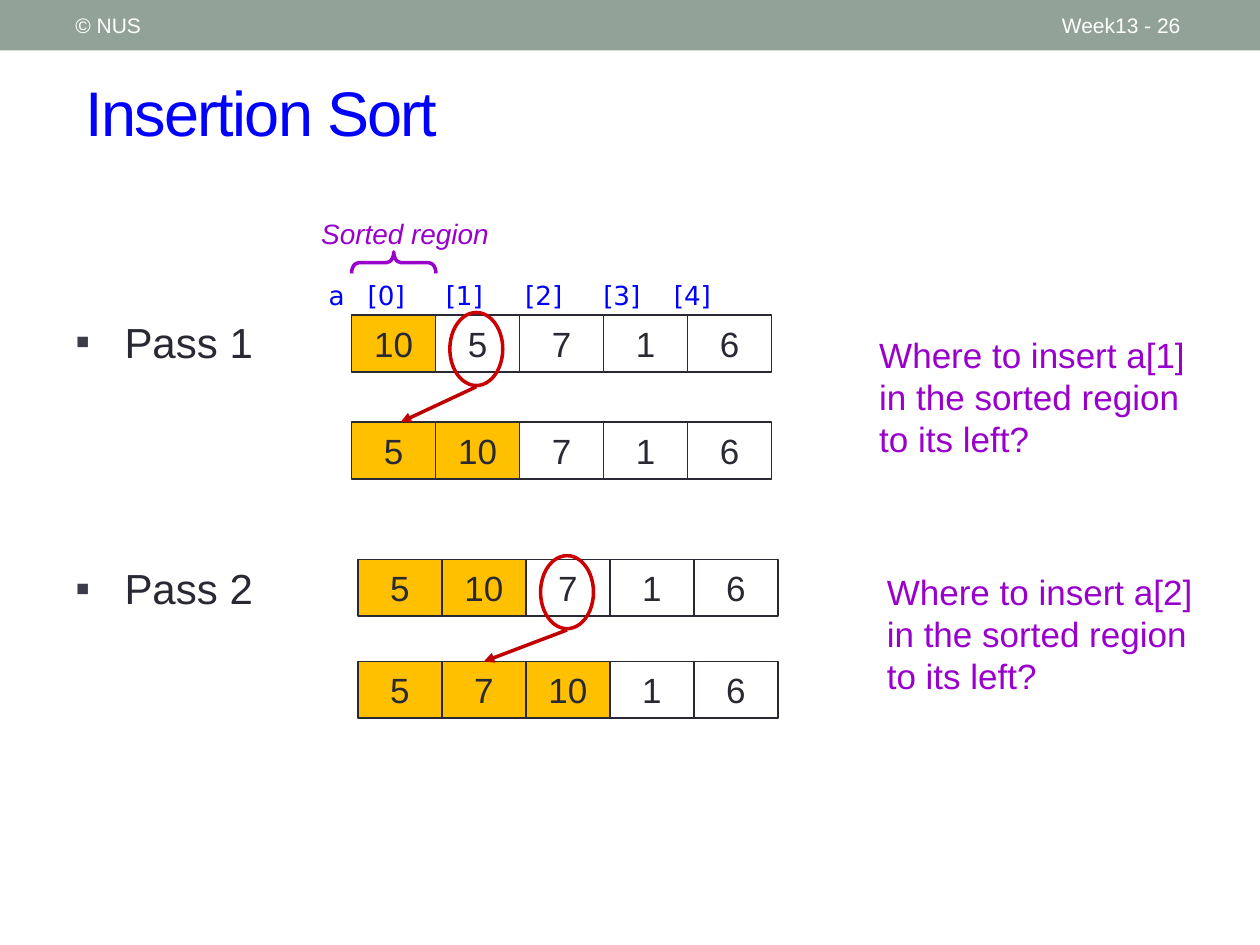
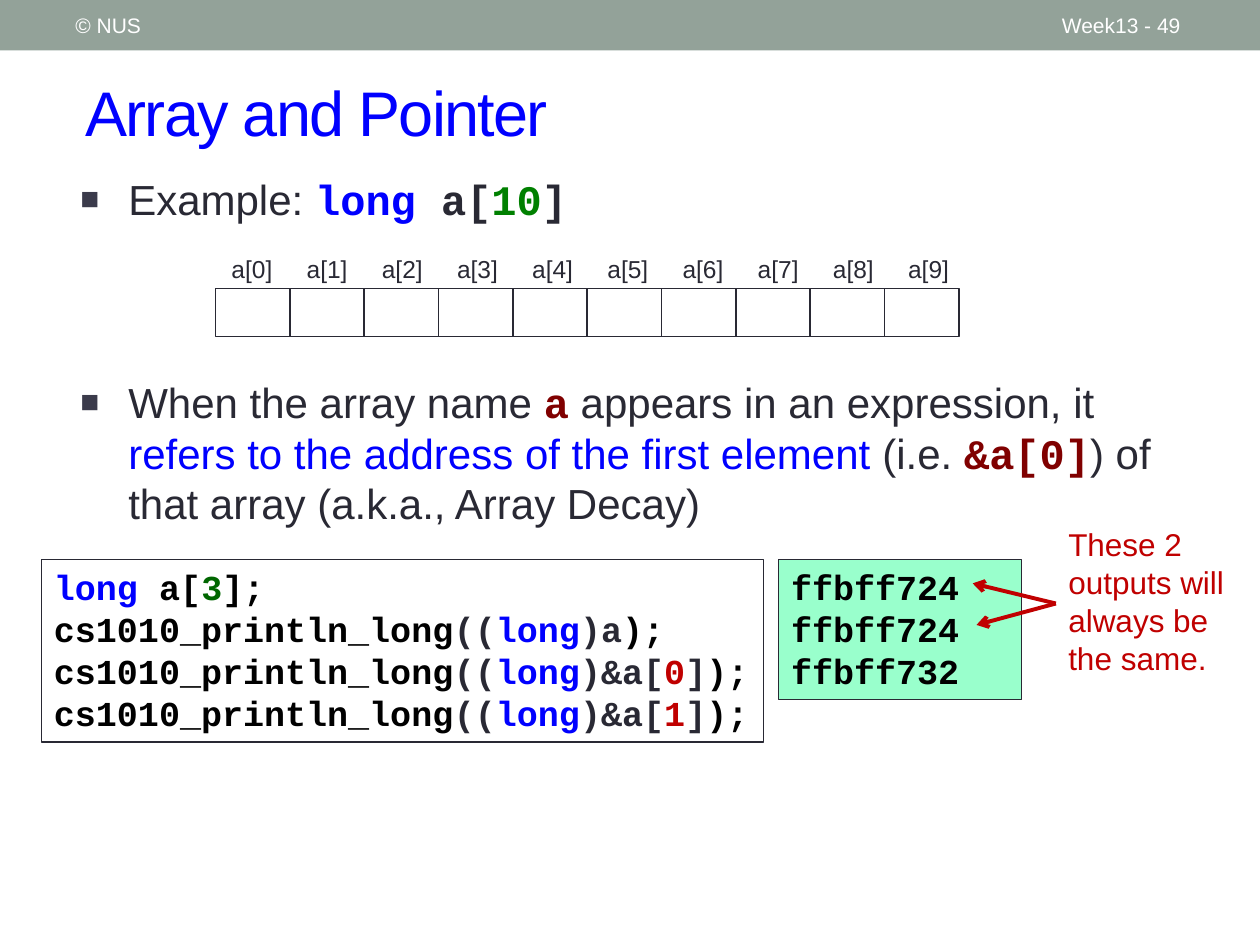
from lxml.etree import SubElement
from pptx import Presentation
from pptx.dml.color import RGBColor
from pptx.enum.shapes import MSO_CONNECTOR as Connector, MSO_SHAPE as Shape
from pptx.enum.text import MSO_ANCHOR as Anchor, PP_ALIGN as Align
from pptx.oxml.ns import qn
from pptx.util import Inches, Pt

COLORS = {
    "band": "93A299", "white": "FFFFFF", "black": "000000", "ink": "292934",
    "blue": "0000FF", "bullet": "3B3B4B", "sorted": "FFC000", "purple": "9900CC",
    "circle": "CC0000", "red": "C00000", "maroon": "800000", "green": "008000",
    "dark green": "006600", "output": "99FFCC",
}
SANS = {"name": "Arial", "bold": False}
MONO = {"name": "Courier New", "bold": True}

PASSES = [
    {"left": 2.79, "tops": (2.5, 3.35), "rows": ([10, 5, 7, 1, 6], [5, 10, 7, 1, 6]),
     "sorted": (1, 2), "circle": (3.57, 2.48), "arrow": ((3.78, 3.07), (3.18, 3.35)),
     "question": (6.88, 2.6, 2.67, 1.1)},
    {"left": 2.84, "tops": (4.44, 5.25), "rows": ([5, 10, 7, 1, 6], [5, 7, 10, 1, 6]),
     "sorted": (2, 3), "circle": (4.29, 4.41), "arrow": ((4.5, 5), (3.84, 5.25)),
     "question": (6.94, 4.48, 2.67, 1.1)},
]
INDEX_LABELS = "a\t[0]\t[1]\t[2]\t[3]\t[4]"
INDEX_TABS = (0.31, 0.93, 1.56, 2.18, 2.74)
CELL_WIDTH, CELL_HEIGHT = 2 / 3, 0.45

EXAMPLE = [("Example: ", SANS, "ink"), ("long ", MONO, "blue"), ("a[", MONO, "ink"),
           ("10", MONO, "green"), ("]", MONO, "ink")]
DECAY = [("When the array name ", SANS, "ink"), ("a", MONO, "maroon"),
         (" appears in an expression, it ", SANS, "ink"),
         ("refers to the address of the first element ", SANS, "blue"),
         ("(i.e. ", SANS, "ink"), ("&a[0]", MONO, "maroon"),
         (") of that array (a.k.a., Array Decay)", SANS, "ink")]
ARRAY_SIZE = 10
ARRAY_LEFT, ARRAY_PITCH = 1.71, 0.59
FIRST_LABEL, LAST_LABEL = 1.73, 7.1
OUTPUTS = ["ffbff724", "ffbff724", "ffbff732"]
OUTPUT_ARROWS = [(7.72, 4.63), (7.75, 4.96)]


def print_call(*argument):
    return [("cs1010_println_long", MONO, "black"), ("((", MONO, "ink"),
            ("long", MONO, "blue"), *argument, (");", MONO, "black")]


def element_address(index):
    return [(")&a[", MONO, "ink"), (index, MONO, "red"), ("]", MONO, "ink")]


CODE = [
    [("long", MONO, "blue"), (" a[", MONO, "black"), ("3", MONO, "dark green"),
     ("];", MONO, "black")],
    print_call((")a", MONO, "ink")),
    print_call(*element_address("0")),
    print_call(*element_address("1")),
]


def rgb(name):
    return RGBColor.from_string(COLORS[name])


def write(shape, lines, size, anchor=Anchor.TOP, **formats):
    frame = shape.text_frame
    frame.word_wrap = True
    frame.vertical_anchor = anchor
    for number, spans in enumerate(lines):
        para = frame.paragraphs[0] if number == 0 else frame.add_paragraph()
        for key, value in {"alignment": Align.LEFT, **formats}.items():
            if number or key != "space_before":
                setattr(para, key, value)
        for text, style, color in spans:
            span = para.add_run()
            span.text = text
            span.font.size = Pt(size)
            span.font.color.rgb = rgb(color)
            for key, value in style.items():
                setattr(span.font, key, value)
    return frame


def add_text(page, place, lines, size, **formats):
    box = page.shapes.add_textbox(*map(Inches, place))
    return write(box, lines, size, **formats)


def add_shape(page, kind, place, fill=None, line=None, width=1):
    shape = page.shapes.add_shape(kind, *map(Inches, place))
    shape.shadow.inherit = False
    if fill:
        shape.fill.solid()
        shape.fill.fore_color.rgb = rgb(fill)
    else:
        shape.fill.background()
    if line:
        shape.line.color.rgb = rgb(line)
        shape.line.width = Pt(width)
    else:
        shape.line.fill.background()
    return shape


def add_arrow(page, start, end, width, head):
    arrow = page.shapes.add_connector(Connector.STRAIGHT, *map(Inches, start + end))
    arrow.line.color.rgb = rgb("red")
    arrow.line.width = Pt(width)
    SubElement(arrow.line._get_or_add_ln(), qn("a:tailEnd"), type=head)
    SubElement(arrow._element.spPr, qn("a:effectLst"))


def add_bullets(frame, char, indent, percent):
    for para in frame.paragraphs:
        props = para._p.get_or_add_pPr()
        props.set("marL", str(Inches(indent)))
        props.set("indent", str(-Inches(indent)))
        color = SubElement(props, qn("a:buClr"))
        SubElement(color, qn("a:srgbClr"), val=COLORS["bullet"])
        SubElement(props, qn("a:buSzPct"), val=str(percent * 1000))
        SubElement(props, qn("a:buFont"), typeface="Arial")
        SubElement(props, qn("a:buChar"), char=char)


def add_page(deck, title, number):
    page = deck.slides.add_slide(deck.slide_layouts[6])
    add_shape(page, Shape.RECTANGLE, (0, 0, 10, 0.4), "band")
    heading = add_text(page, (0.58, 0.42, 9.17, 0.92), [[(title, SANS, "blue")]], 36,
                       anchor=Anchor.MIDDLE)
    heading.paragraphs[0].runs[0]._r.get_or_add_rPr().set("spc", "-100")
    for text, left, width in ((f"Week13 - {number}", 8.33, 1.17), ("© NUS", 0.5, 3.17)):
        add_text(page, (left, 0.02, width, 0.36), [[(text, SANS, "white")]], 12,
                 anchor=Anchor.MIDDLE)
    return page


def add_array(page, left, top, values, sorted_count):
    for index, value in enumerate(values):
        place = (left + index * CELL_WIDTH, top, CELL_WIDTH, CELL_HEIGHT)
        fill = "sorted" if index < sorted_count else "white"
        cell = add_shape(page, Shape.RECTANGLE, place, fill, "ink")
        write(cell, [[(str(value), SANS, "ink")]], 20, Anchor.MIDDLE,
              alignment=Align.CENTER)


def build_insertion_sort(deck):
    page = add_page(deck, "Insertion Sort", 26)
    names = [[(f"Pass {number}", SANS, "ink")] for number in (1, 2)]
    add_bullets(add_text(page, (0.5, 2.46, 2, 2.6), names, 24, space_before=Pt(112)),
                "▪", 0.39, 100)

    labels = add_text(page, (2.51, 2.17, 3.67, 0.35),
                      [[(INDEX_LABELS, {"name": "DejaVu Sans"}, "blue")]], 15)
    tabs = SubElement(labels.paragraphs[0]._p.get_or_add_pPr(), qn("a:tabLst"))
    for position in INDEX_TABS:
        SubElement(tabs, qn("a:tab"), pos=str(Inches(position)), algn="l")

    brace = add_shape(page, Shape.LEFT_BRACE, (3.04, 1.75, 0.17, 0.67), None, "purple", 2)
    brace.rotation = 90
    brace.adjustments[0] = 0.33
    add_text(page, (2.38, 1.67, 1.67, 0.37),
             [[("Sorted region", {**SANS, "italic": True}, "purple")]], 16,
             alignment=Align.CENTER)

    for number, step in enumerate(PASSES, 1):
        for top, values, count in zip(step["tops"], step["rows"], step["sorted"]):
            add_array(page, step["left"], top, values, count)
        add_shape(page, Shape.OVAL, (*step["circle"], 0.42, 0.58), None, "circle", 2)
        question = f"Where to insert a[{number}] in the sorted region to its left?"
        add_text(page, step["question"], [[(question, SANS, "purple")]], 20)
        add_arrow(page, *step["arrow"], 2, "triangle")


def build_array_and_pointer(deck):
    page = add_page(deck, "Array and Pointer", 49)
    for spans, top, height in ((EXAMPLE, 1.33, 0.73), (DECAY, 2.94, 1.33)):
        add_bullets(add_text(page, (0.54, top, 8.89, height), [spans], 24), "■", 0.38, 75)

    label_pitch = (LAST_LABEL - FIRST_LABEL) / (ARRAY_SIZE - 1)
    for index in range(ARRAY_SIZE):
        add_text(page, (FIRST_LABEL + index * label_pitch, 1.97, 0.54, 0.34),
                 [[(f"a[{index}]", SANS, "ink")]], 14, alignment=Align.CENTER)
        add_shape(page, Shape.RECTANGLE,
                  (ARRAY_LEFT + index * ARRAY_PITCH, 2.29, ARRAY_PITCH, 0.38), None, "ink")

    outputs = [[(line, MONO, "black")] for line in OUTPUTS]
    for place, fill, lines in (((0.33, 4.44, 5.73, 1.45), "white", CODE),
                               ((6.18, 4.44, 1.93, 1.11), "output", outputs)):
        listing = add_shape(page, Shape.RECTANGLE, place, fill, "ink", 0.75)
        write(listing, lines, 20, line_spacing=Pt(24)).margin_right = 0

    for end in OUTPUT_ARROWS:
        add_arrow(page, (8.38, 4.79), end, 2.25, "arrow")
    add_text(page, (8.38, 4.12, 1.45, 1.31),
             [[("These 2 outputs will always be the same.", SANS, "red")]], 18)


def main():
    deck = Presentation()
    deck.slide_width, deck.slide_height = Inches(10), Inches(7.5)
    build_insertion_sort(deck)
    build_array_and_pointer(deck)
    deck.save("out.pptx")


if __name__ == "__main__":
    main()
